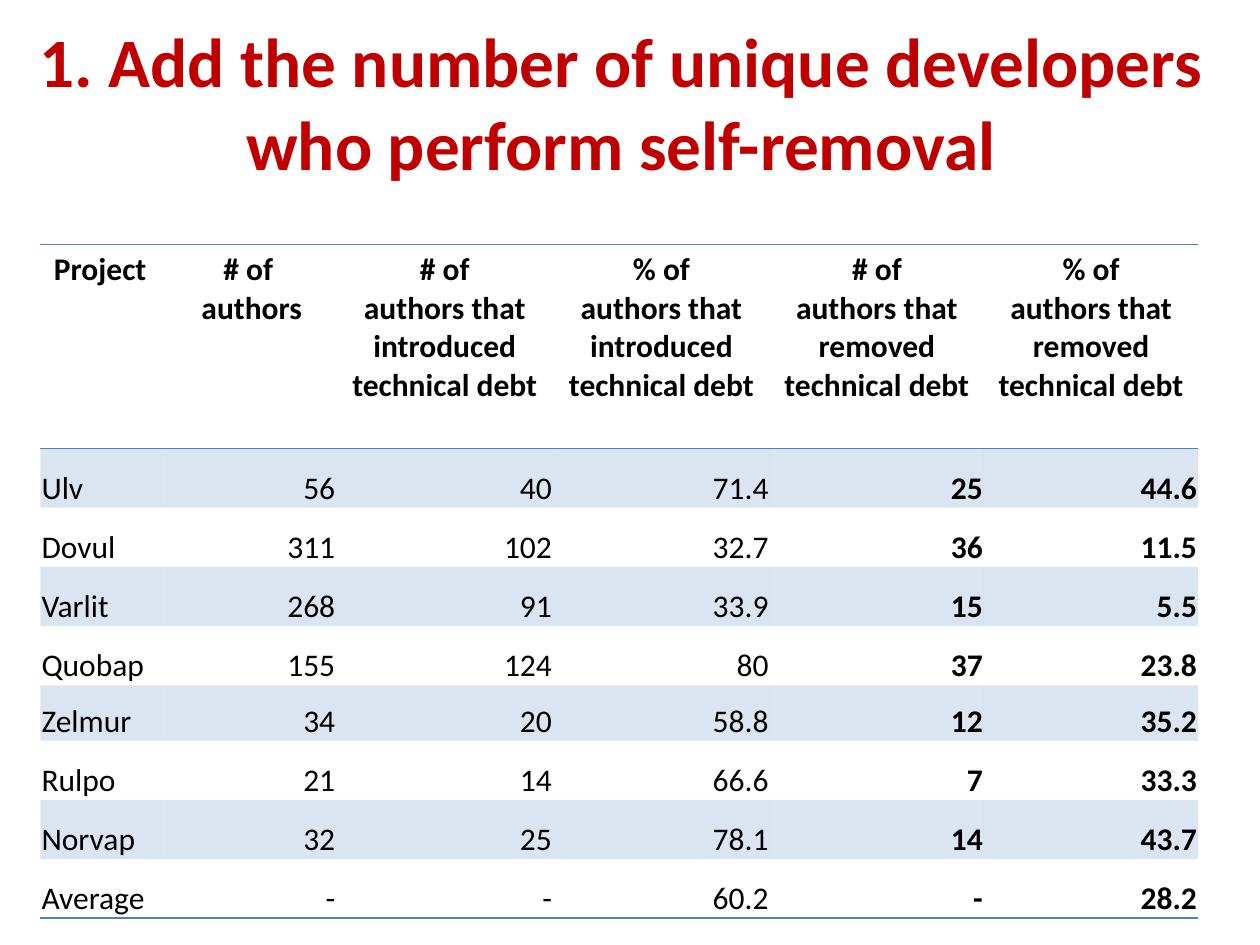
import pptx
import pptx.util
import pptx.oxml
import pptx.oxml.ns
import pptx.dml.color
import pptx.enum.text
import lxml.etree

Inches, Pt = pptx.util.Inches, pptx.util.Pt
ALIGN = pptx.enum.text.PP_ALIGN
ANCHOR = pptx.enum.text.MSO_ANCHOR
qn = pptx.oxml.ns.qn

COLORS = {"title": "C00000", "text": "000000", "accent": "4F81BD"}
FONT = "Calibri"
WIDTH, HEIGHT = 10, 7.5
NO_STYLE = "{2D5ABB26-0587-4C30-8999-92F81FD0307C}"

COLUMN_WIDTHS = [0.95, 1.4, 1.72, 1.72, 1.7, 1.7]
ROW_HEIGHTS = [1.62] + [0.47] * 4 + [0.44] + [0.47] * 3
FIRST_BOLD_COLUMN = 4

HEADERS = [["Project"], ["# of", " authors"]] + [
    [f"{unit} of", f"authors that {action}", "technical debt"]
    for action in ("introduced", "removed") for unit in "#%"
]
PROJECTS = [
    ["Ulv", "56", "40", "71.4", "25", "44.6"],
    ["Dovul", "311", "102", "32.7", "36", "11.5"],
    ["Varlit", "268", "91", "33.9", "15", "5.5"],
    ["Quobap", "155", "124", "80", "37", "23.8"],
    ["Zelmur", "34", "20", "58.8", "12", "35.2"],
    ["Rulpo", "21", "14", "66.6", "7", "33.3"],
    ["Norvap", "32", "25", "78.1", "14", "43.7"],
    ["Average", "-", "-", "60.2", "-", "28.2"],
]


def write_text(frame, lines, size=18, color="text", bold=False, align=ALIGN.LEFT):
    """Write one formatted paragraph for each line."""
    frame.word_wrap = True
    for index, line in enumerate(lines):
        para = frame.paragraphs[0] if index == 0 else frame.add_paragraph()
        para.alignment = align
        span = para.add_run()
        span.text = line
        span.font.name = FONT
        span.font.size = Pt(size)
        span.font.bold = bold
        span.font.color.rgb = pptx.dml.color.RGBColor.from_string(COLORS[color])


def add_border(cell, side):
    """Draw a one point rule on side T or B of a cell."""
    properties = cell._tc.get_or_add_tcPr()
    line = lxml.etree.SubElement(properties, qn(f"a:ln{side}"), w=str(Pt(1)))
    fill = lxml.etree.SubElement(line, qn("a:solidFill"))
    lxml.etree.SubElement(fill, qn("a:srgbClr"), val=COLORS["accent"])


def fill_cell(cell, banded):
    """Tint a banded cell with the accent at 20 percent; clear the others."""
    if not banded:
        cell.fill.background()
        return
    cell.fill.solid()
    cell.fill.fore_color.rgb = pptx.dml.color.RGBColor.from_string(COLORS["accent"])
    color = cell._tc.tcPr.find(qn("a:solidFill")).find(qn("a:srgbClr"))
    lxml.etree.SubElement(color, qn("a:alpha"), val="20000")


def format_body_cell(cell):
    cell.vertical_anchor = ANCHOR.BOTTOM
    cell.margin_left = cell.margin_right = cell.margin_top = Inches(0.01)
    cell.margin_bottom = 0


def add_title(page, text):
    title = page.shapes.title
    title.left, title.top = Inches(-0.014 * WIDTH), Inches(0.024 * HEIGHT)
    title.width, title.height = Inches(1.014 * WIDTH), Inches(HEIGHT / 6)
    title.text_frame.vertical_anchor = ANCHOR.MIDDLE
    write_text(title.text_frame, [text], size=39.6, color="title", bold=True,
               align=ALIGN.CENTER)


def add_project_table(page):
    rows = [HEADERS] + [[[value] for value in project] for project in PROJECTS]
    frame = page.shapes.add_table(
        len(rows), len(COLUMN_WIDTHS), Inches(0.32), Inches(1.94),
        Inches(sum(COLUMN_WIDTHS)), Inches(sum(ROW_HEIGHTS)))
    table = frame.table
    table.first_row = table.horz_banding = False
    table._tbl.tblPr.find(qn("a:tableStyleId")).text = NO_STYLE

    # Grid
    for column, width in zip(table.columns, COLUMN_WIDTHS):
        column.width = Inches(width)
    for row, height in zip(table.rows, ROW_HEIGHTS):
        row.height = Inches(height)

    # Cells
    for r, row in enumerate(rows):
        header = r == 0
        for c, lines in enumerate(row):
            cell = table.cell(r, c)
            if header:
                add_border(cell, "T")
            else:
                format_body_cell(cell)
            if header or r == len(rows) - 1:
                add_border(cell, "B")
            fill_cell(cell, banded=r % 2 == 1)
            align = ALIGN.CENTER if header else ALIGN.RIGHT if c else ALIGN.LEFT
            write_text(cell.text_frame, lines, align=align,
                       bold=header or c >= FIRST_BOLD_COLUMN)


def main():
    deck = pptx.Presentation()
    deck.slide_width, deck.slide_height = Inches(WIDTH), Inches(HEIGHT)
    page = deck.slides.add_slide(deck.slide_layouts[5])
    add_title(page, "1. Add the number of unique developers who perform self-removal")
    add_project_table(page)
    deck.save("out.pptx")


main()
